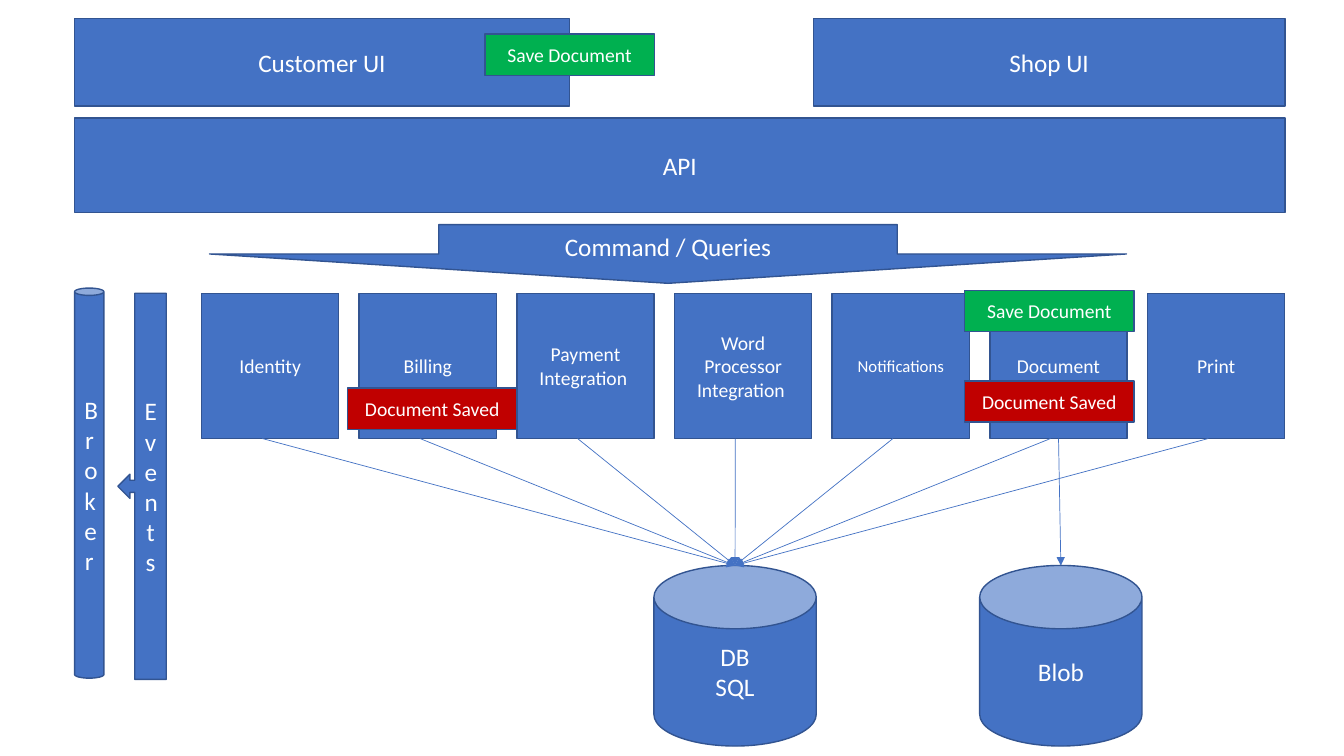
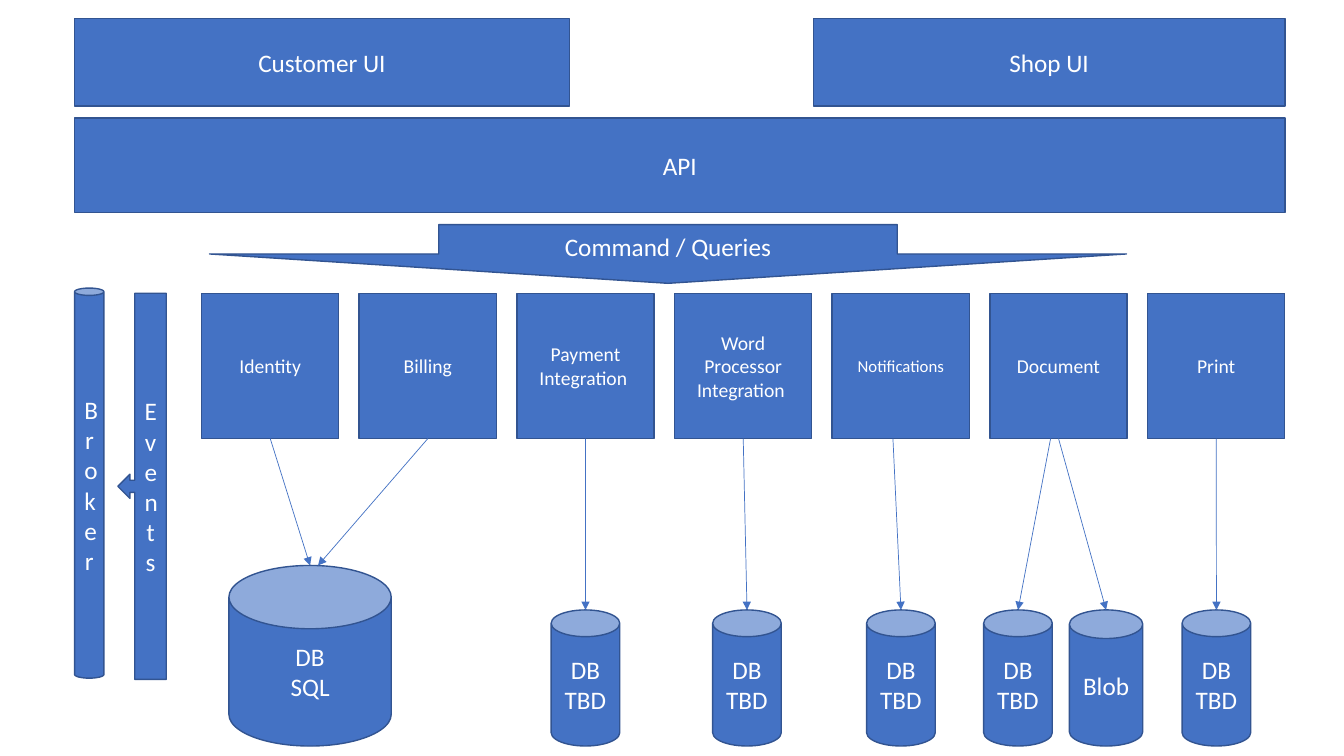
from dataclasses import dataclass

from lxml import etree
from pptx import Presentation
from pptx.dml.color import RGBColor
from pptx.enum.shapes import MSO_CONNECTOR, MSO_SHAPE
from pptx.enum.text import MSO_ANCHOR, PP_ALIGN
from pptx.oxml.ns import qn
from pptx.util import Cm, Pt

PROCESS = MSO_SHAPE.FLOWCHART_PROCESS
RECTANGLE = MSO_SHAPE.RECTANGLE
CAN = MSO_SHAPE.CAN
LEFT_CALLOUT = MSO_SHAPE.LEFT_ARROW_CALLOUT
DOWN_ARROW = MSO_SHAPE.DOWN_ARROW
STRAIGHT = MSO_CONNECTOR.STRAIGHT
CENTER = PP_ALIGN.CENTER
MIDDLE = MSO_ANCHOR.MIDDLE


@dataclass(frozen=True)
class Theme:
    block: RGBColor = RGBColor(0x44, 0x72, 0xC4)
    border: RGBColor = RGBColor(0x32, 0x54, 0x91)
    command: RGBColor = RGBColor(0x00, 0xB0, 0x50)
    event: RGBColor = RGBColor(0xC0, 0x00, 0x00)
    text: RGBColor = RGBColor(0xFF, 0xFF, 0xFF)
    font: str = "Calibri"
    large: int = 18
    medium: int = 14
    small: int = 12
    border_width: float = 1
    link_width: float = 0.5


THEME = Theme()
LEFT, RIGHT = 1.88, 32.38
SERVICE_LEFT, SERVICE_TOP = 5.08, 7.39
SERVICE_WIDTH, SERVICE_HEIGHT = 3.46, 3.66
LINK_SHIFT = 0.2
SERVICES = {
    "Identity": THEME.medium,
    "Billing": THEME.medium,
    "Payment Integration ": THEME.medium,
    "Word Processor\nIntegration ": THEME.medium,
    "Notifications": THEME.small,
    "Document": THEME.medium,
    "Print": THEME.medium,
}


def write(shape, text, size=THEME.large, color=THEME.text, align=CENTER, anchor=MIDDLE):
    frame = shape.text_frame
    frame.word_wrap = True
    frame.vertical_anchor = anchor
    for index, line in enumerate(text.split("\n")):
        paragraph = frame.add_paragraph() if index else frame.paragraphs[0]
        paragraph.alignment = align
        run = paragraph.add_run()
        run.text = line
        run.font.name = THEME.font
        run.font.size = Pt(size)
        run.font.color.rgb = color


def add_block(slide, kind, text, left, top, width, height,
              fill=THEME.block, size=THEME.large):
    block = slide.shapes.add_shape(kind, Cm(left), Cm(top), Cm(width), Cm(height))
    block.shadow.inherit = False
    block.fill.solid()
    block.fill.fore_color.rgb = fill
    block.line.color.rgb = THEME.border
    block.line.width = Pt(THEME.border_width)
    write(block, text, size=size)
    return block


def add_store(slide, text, left, top, width, height):
    store = add_block(slide, CAN, text, left, top, width, height)
    store.adjustments[0] = 0.39
    return store


def add_large_store(slide, text, left):
    return add_store(slide, text, left, 14.25, 4.09, 4.55)


def add_small_store(slide, text, left, width=1.73):
    return add_store(slide, text, left, 15.37, width, 3.43)


def add_tag(slide, text, left, top, fill):
    add_block(slide, RECTANGLE, text, left, top, 4.27, 1.04,
              fill=fill, size=THEME.medium)


def add_link(slide, service, store, start_shift=0, end_shift=0):
    link = slide.shapes.add_connector(
        STRAIGHT,
        service.left + service.width // 2 + Cm(start_shift),
        service.top + service.height,
        store.left + store.width // 2 + Cm(end_shift),
        store.top,
    )
    link.line.color.rgb = THEME.block
    link.line.width = Pt(THEME.link_width)
    properties = link.element.spPr
    etree.SubElement(properties.find(qn("a:ln")), qn("a:tailEnd"), type="triangle")
    etree.SubElement(properties, qn("a:effectLst"))


def add_services(slide):
    pitch = (RIGHT - SERVICE_WIDTH - SERVICE_LEFT) / (len(SERVICES) - 1)
    return [
        add_block(slide, RECTANGLE, name, SERVICE_LEFT + index * pitch, SERVICE_TOP,
                  SERVICE_WIDTH, SERVICE_HEIGHT, size=size)
        for index, (name, size) in enumerate(SERVICES.items())
    ]


def add_architecture(deck):
    slide = deck.slides.add_slide(deck.slide_layouts[6])
    add_block(slide, PROCESS, "Customer UI", LEFT, 0.46, 12.47, 2.21)
    add_block(slide, PROCESS, "Shop UI", 20.5, 0.46, RIGHT - 20.5, 2.21)
    add_block(slide, PROCESS, "API", LEFT, 2.97, RIGHT - LEFT, 2.39)
    services = add_services(slide)
    add_block(slide, CAN, "Broker ", LEFT, 7.26, 0.74, 9.83)
    add_block(slide, LEFT_CALLOUT, "Events", 2.97, SERVICE_TOP, 1.22, 9.73)
    add_block(slide, DOWN_ARROW, "Command / Queries", 5.28, 5.66, 23.11, 1.48)
    return slide, services


def add_shared_database_slide(deck):
    slide, services = add_architecture(deck)
    document = services[5]
    database = add_large_store(slide, "DB\nSQL", 16.48)
    blob = add_large_store(slide, "Blob", 24.69)
    for service in services:
        add_link(slide, service, database, start_shift=-LINK_SHIFT)
    add_link(slide, document, blob)
    add_tag(slide, "Save Document", 12.22, 0.86, THEME.command)
    add_tag(slide, "Save Document", 24.31, 7.32, THEME.command)
    add_tag(slide, "Document Saved", 24.31, 9.6, THEME.event)
    add_tag(slide, "Document Saved", 8.76, 9.78, THEME.event)


def add_separate_databases_slide(deck):
    slide, services = add_architecture(deck)
    identity, billing, payment, word, notifications, document, printing = services
    database = add_large_store(slide, "DB\nSQL", 5.77)
    add_link(slide, identity, database)
    add_link(slide, billing, database, end_shift=LINK_SHIFT)
    for service, left, shift in (
        (payment, 13.89, 0),
        (word, 17.96, 0),
        (notifications, 21.84, -LINK_SHIFT),
        (document, 24.79, -LINK_SHIFT),
        (printing, 29.79, 0),
    ):
        own_database = add_small_store(slide, "DB\nTBD", left)
        add_link(slide, service, own_database, start_shift=shift)
    blob = add_small_store(slide, "Blob", 26.95, width=1.85)
    add_link(slide, document, blob)


def main():
    deck = Presentation()
    deck.slide_width = Cm(33.87)
    deck.slide_height = Cm(19.05)
    add_shared_database_slide(deck)
    add_separate_databases_slide(deck)
    deck.save("out.pptx")


main()
